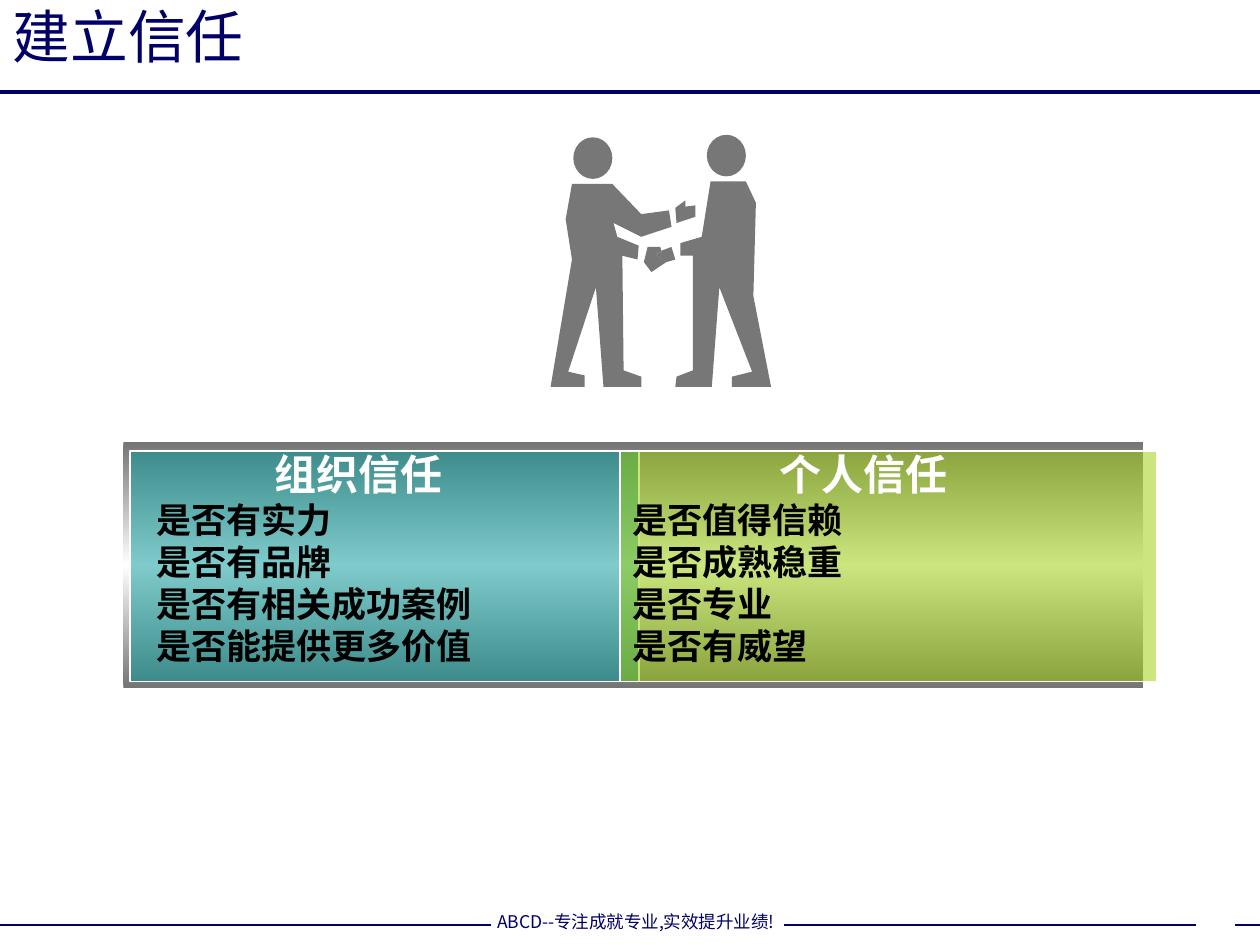
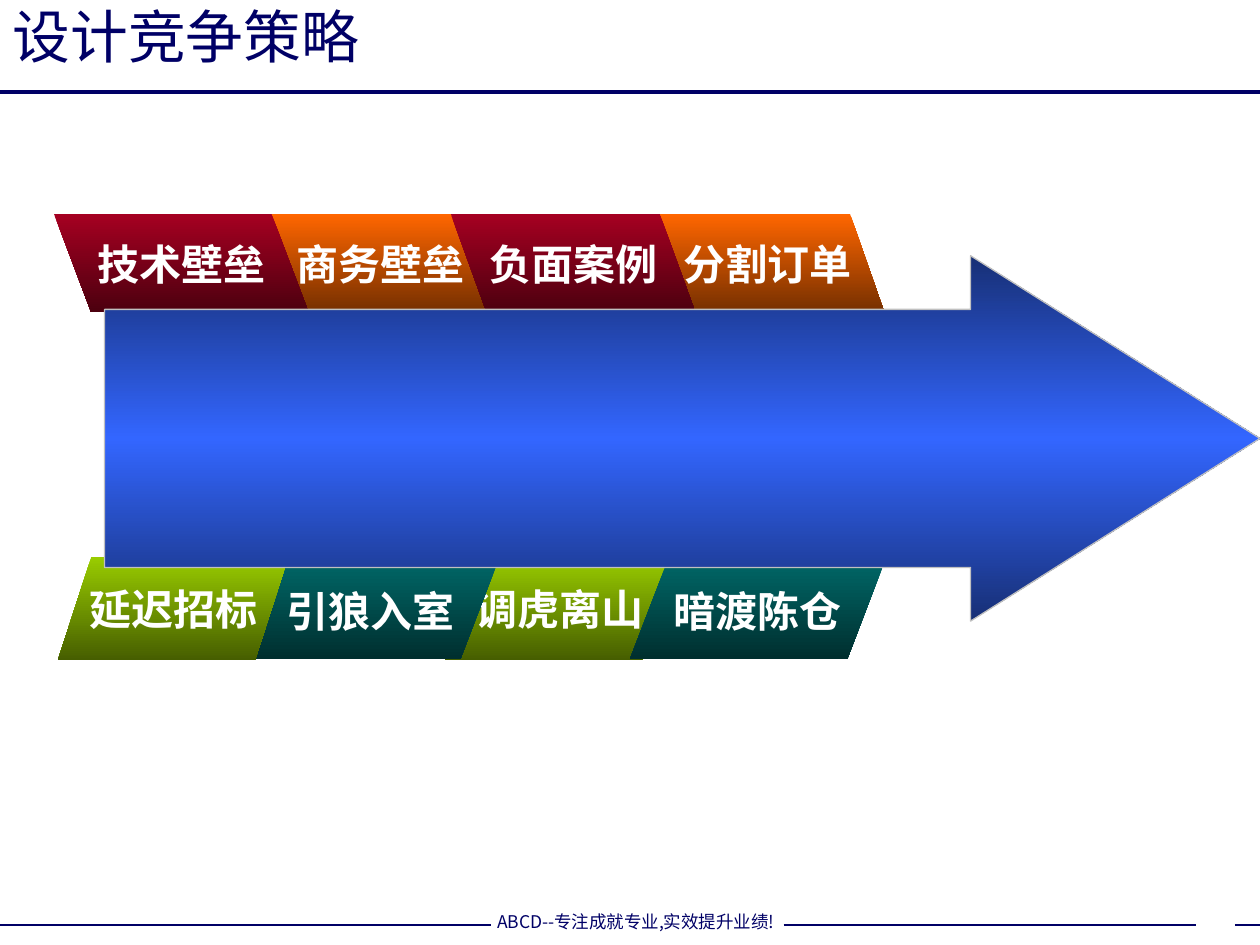
"""Build two slides on winning a deal: building trust and designing a competitive strategy."""
import copy

import lxml.etree
import pptx
import pptx.dml.color
import pptx.enum.shapes
import pptx.enum.text
import pptx.oxml.ns
import pptx.util

Inches = pptx.util.Inches
Pt = pptx.util.Pt
SHAPE = pptx.enum.shapes.MSO_SHAPE
ALIGN = pptx.enum.text.PP_ALIGN
ANCHOR = pptx.enum.text.MSO_ANCHOR
qn = pptx.oxml.ns.qn

CJK_FONT = "Noto Sans CJK SC"
NAVY, WHITE, BLACK, FIGURE_GREY = "000066", "FFFFFF", "000000", "777777"
FOOTER = "ABCD--专注成就专业,实效提升业绩!"
TITLES = ["建立信任", "设计竞争策略"]
RULES = [(0, 10, 0.73, 2.25), (0, 3.9, 7.34, 1), (6.22, 9.49, 7.34, 1), (9.8, 10, 7.34, 1)]


def paint(target, *colours):
    """Fill a shape or font with one colour, or a shape with a downward gradient."""
    if len(colours) == 1:
        target.fill.solid()
        target.fill.fore_color.rgb = pptx.dml.color.RGBColor.from_string(colours[0])
        return
    target.fill.gradient()
    target.fill.gradient_angle = 270
    first_stop = target._element.xpath(".//a:gs")[0]
    for _ in colours[2:]:
        first_stop.addnext(copy.deepcopy(first_stop))
    for index, (stop, colour) in enumerate(zip(target.fill.gradient_stops, colours)):
        stop.position = index / (len(colours) - 1)
        stop.color.rgb = pptx.dml.color.RGBColor.from_string(colour)


def write(paragraph, text, size, colour, font_name="Arial", bold=False, align=ALIGN.LEFT):
    """Add one formatted run to a paragraph and return it."""
    paragraph.alignment = align
    run = paragraph.add_run()
    run.text = text
    run.font.size = Pt(size)
    run.font.bold = bold
    paint(run.font, colour)
    run.font.name = font_name
    latin = run._r.rPr.find(qn("a:latin"))
    east_asian = lxml.etree.Element(qn("a:ea"), typeface=CJK_FONT)
    latin.addnext(east_asian)
    return run


presentation = pptx.Presentation()
presentation.slide_width = Inches(10)
presentation.slide_height = Inches(7.5)

slides = []
for title_text in TITLES:
    slide = presentation.slides.add_slide(presentation.slide_layouts[5])
    slides.append(slide)
    title = slide.shapes.title
    title.left, title.top, title.width, title.height = 0, 0, Inches(8.94), Inches(0.57)
    title.text_frame.auto_size = pptx.enum.text.MSO_AUTO_SIZE.NONE
    title.text_frame.vertical_anchor = ANCHOR.MIDDLE
    write(title.text_frame.paragraphs[0], title_text, 33, NAVY, CJK_FONT)

    footer = slide.shapes.add_shape(
        SHAPE.RECTANGLE, Inches(3.8), Inches(7.18), Inches(2.49), Inches(0.27))
    footer.shadow.inherit = False
    footer.line.fill.background()
    paint(footer, WHITE)
    footer.text_frame.word_wrap = False
    footer.text_frame.vertical_anchor = ANCHOR.MIDDLE
    write(footer.text_frame.paragraphs[0], FOOTER, 10, NAVY, CJK_FONT, align=ALIGN.CENTER)

    for start, end, height, weight in RULES:
        rule = slide.shapes.add_connector(
            pptx.enum.shapes.MSO_CONNECTOR.STRAIGHT,
            Inches(start), Inches(height), Inches(end), Inches(height))
        paint(rule.line, NAVY)
        rule.line.width = Pt(weight)
        lxml.etree.SubElement(rule._element.spPr, qn("a:effectLst"))

trust_slide, strategy_slide = slides

backdrop = trust_slide.shapes.add_shape(
    SHAPE.RECTANGLE, Inches(0.98), Inches(3.51), Inches(8.09), Inches(1.95))
backdrop.shadow.inherit = False
backdrop.line.fill.background()
paint(backdrop, "757575", WHITE, "757575")

trust_panels = [
    (1.03, 4.04, "009999", "组织信任", 1.44, 1.14,
     ["是否有实力", "是否有品牌", "是否有相关成功案例", "是否能提供更多价值"]),
    (4.92, 4.26, "99CC00", "个人信任", 5.45, 4.92,
     ["是否值得信赖", "是否成熟稳重", "是否专业", "是否有威望"]),
]
for left, width, colour, heading, heading_left, list_left, questions in trust_panels:
    panel = trust_slide.shapes.add_shape(
        SHAPE.RECTANGLE, Inches(left), Inches(3.58), Inches(width), Inches(1.83))
    panel.shadow.inherit = False
    paint(panel, colour)
    panel_colour = panel._element.spPr.find(qn("a:solidFill"))[0]
    lxml.etree.SubElement(panel_colour, qn("a:alpha"), val="50000")
    paint(panel.line, WHITE)
    panel.line.width = Pt(1)

    heading_box = trust_slide.shapes.add_textbox(
        Inches(heading_left), Inches(3.51), Inches(2.81), Inches(0.5))
    heading_box.text_frame.word_wrap = True
    heading_run = write(heading_box.text_frame.paragraphs[0], heading, 24, WHITE,
                        bold=True, align=ALIGN.CENTER)
    effects = lxml.etree.Element(qn("a:effectLst"))
    shadow = lxml.etree.SubElement(
        effects, qn("a:outerShdw"), dist="25400", dir="2700000")
    lxml.etree.SubElement(shadow, qn("a:srgbClr"), val=BLACK)
    heading_run._r.rPr.find(qn("a:solidFill")).addnext(effects)

    question_box = trust_slide.shapes.add_textbox(
        Inches(list_left), Inches(3.91), Inches(3.26), Inches(1.77))
    question_frame = question_box.text_frame
    question_frame.word_wrap = True
    for index, question in enumerate(questions):
        paragraph = question_frame.add_paragraph() if index else question_frame.paragraphs[0]
        write(paragraph, question, 20, BLACK, bold=True)

handshake_outlines = [
    [(509, 170), (486, 146), (454, 146), (449, 174), (454, 206), (437, 307), (464, 307),
     (464, 298), (451, 295), (473, 228), (479, 307), (509, 307), (509, 299), (495, 294),
     (494, 203), (506, 206), (507, 195), (490, 188), (487, 177), (509, 188), (533, 180),
     (531, 167)],
    [(536, 165), (544, 159), (544, 164), (552, 163), (552, 172), (537, 177)],
    [(529, 208), (520, 202), (525, 200), (525, 199), (524, 196), (514, 196), (511, 208),
     (517, 216)],
    [(564, 144), (557, 188), (540, 193), (540, 203), (550, 203), (550, 294), (537, 299),
     (536, 307), (565, 307), (571, 228), (597, 295), (581, 299), (581, 307), (612, 307),
     (598, 235), (600, 161), (592, 144)],
    [(529, 208), (536, 206), (533, 196), (525, 199), (525, 200), (520, 202)],
]
figure_parts = []
for points in handshake_outlines:
    builder = trust_slide.shapes.build_freeform(*points[0], scale=Inches(0.01))
    builder.add_line_segments(points[1:], close=True)
    figure_parts.append(builder.convert_to_shape())
for left, top in [(4.55, 1.09), (5.61, 1.07)]:
    figure_parts.append(trust_slide.shapes.add_shape(
        SHAPE.OVAL, Inches(left), Inches(top), Inches(0.31), Inches(0.33)))
for part in figure_parts:
    part.shadow.inherit = False
    part.line.fill.background()
    paint(part, FIGURE_GREY)

ORANGE, RED = ("FF6600", "752F00"), ("A50021", "4C000F")
GREEN, TEAL = ("99CC00", "465E00"), ("006666", "002F2F")
tactics = [
    ("商务壁垒", 2.09, 1.7, 1.86, 0.78, 0.349, ORANGE),
    ("技术壁垒", 0.43, 1.7, 2.02, 0.78, 0.378, RED),
    ("分割订单", 5.16, 1.7, 1.86, 0.78, 0.349, ORANGE),
    ("负面案例", 3.58, 1.7, 1.94, 0.78, 0.363, RED),
    ("调虎离山", 3.53, 4.42, 1.83, 0.82, 0.324, GREEN),
    ("引狼入室", 1.93, 4.46, 2.02, 0.77, 0.383, TEAL),
    ("延迟招标", 0.46, 4.42, 1.83, 0.82, 0.324, GREEN),
    ("暗渡陈仓", 5, 4.46, 2.02, 0.77, 0.383, TEAL),
]
for text, left, top, width, height, slant, colours in tactics:
    tactic = strategy_slide.shapes.add_shape(
        SHAPE.PARALLELOGRAM, Inches(left), Inches(top), Inches(width), Inches(height))
    tactic.adjustments[0] = slant
    tactic.shadow.inherit = False
    tactic.line.fill.background()
    paint(tactic, *colours)
    if colours in (ORANGE, RED):
        tactic._element.spPr.xfrm.set("flipH", "1")
    tactic.text_frame.word_wrap = False
    tactic.text_frame.vertical_anchor = ANCHOR.MIDDLE
    write(tactic.text_frame.paragraphs[0], text, 24, WHITE, bold=True, align=ALIGN.CENTER)

arrow = strategy_slide.shapes.add_shape(
    SHAPE.RIGHT_ARROW, Inches(0.83), Inches(2.03), Inches(9.17), Inches(2.9))
arrow.adjustments[0] = 0.706
arrow.adjustments[1] = 0.792
arrow.shadow.inherit = False
paint(arrow, "172F75", "3366FF", "172F75")
paint(arrow.line, "C0C0C0")
arrow.line.width = Pt(0.75)

presentation.save("out.pptx")
